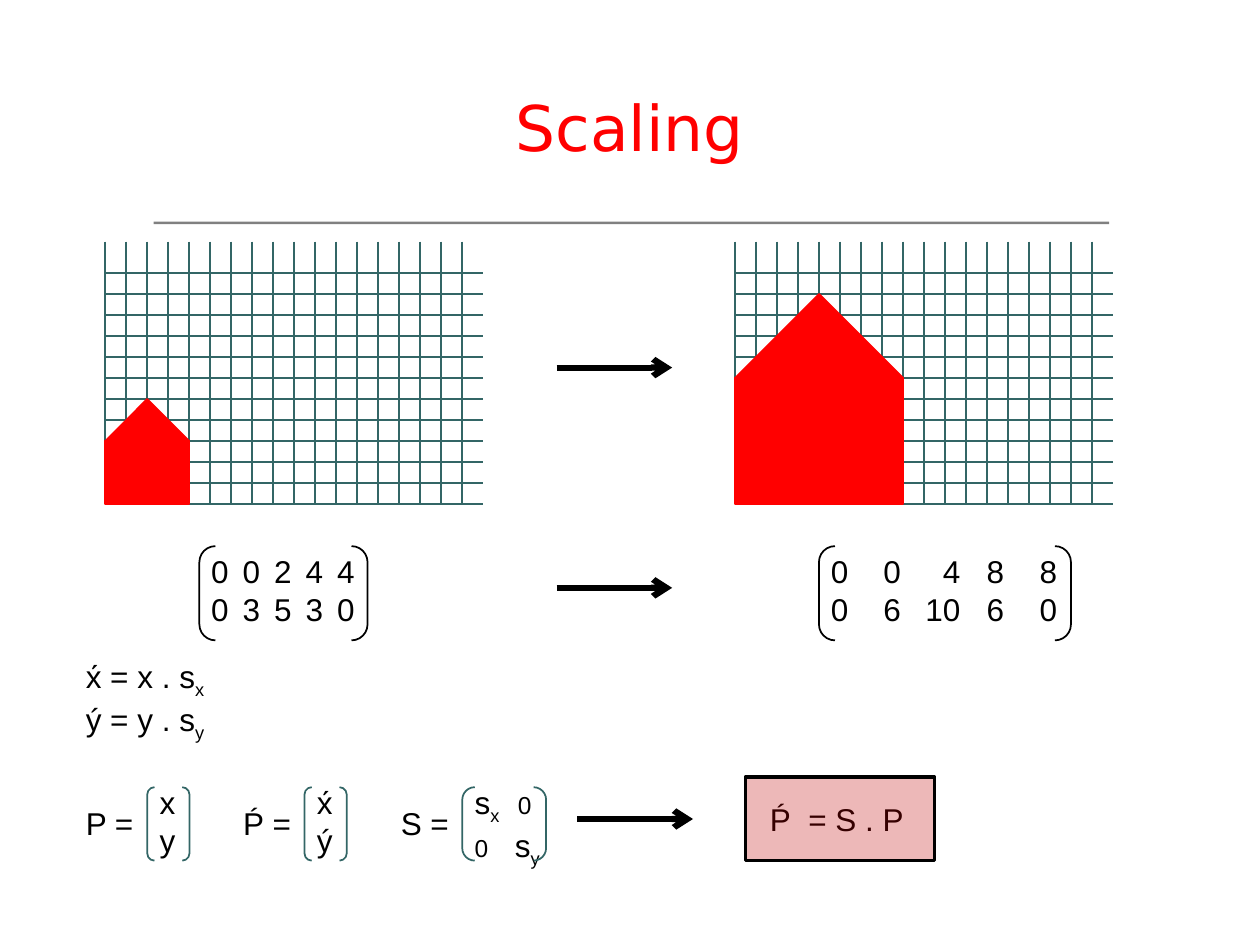
from lxml import etree
from pptx import Presentation
from pptx.dml.color import RGBColor
from pptx.enum import shapes as kinds, text as styles
from pptx.oxml.ns import qn
from pptx.util import Cm, Pt

RED = RGBColor(0xFF, 0x00, 0x00)
BLACK = RGBColor(0x00, 0x00, 0x00)
TEAL = RGBColor(0x33, 0x66, 0x66)
GRAY = RGBColor(0x80, 0x80, 0x80)
DARK_RED = RGBColor(0xC0, 0x00, 0x00)

CELL = 2.54 / 6  # grid spacing in centimetres
COLUMNS, ROWS = 18, 12
SHAPE = kinds.MSO_SHAPE
SUBSCRIPT = "subscript"


def add_line(shapes, start, end, color, weight, arrow=False):
    line = shapes.add_connector(
        kinds.MSO_CONNECTOR.STRAIGHT, *(Cm(value) for value in (*start, *end)))
    line.line.color.rgb = color
    line.line.width = Pt(weight)
    properties = line._element.spPr
    if arrow:
        etree.SubElement(properties.get_or_add_ln(), qn("a:tailEnd"), type="arrow")
    etree.SubElement(properties, qn("a:effectLst"))
    return line


def add_block(shapes, kind, box, fill=None, line=None, weight=1):
    block = shapes.add_shape(kind, *(Cm(value) for value in box))
    block.shadow.inherit = False
    if fill is None:
        block.fill.background()
    else:
        block.fill.solid()
        block.fill.fore_color.rgb = fill
    if line is None:
        block.line.fill.background()
    else:
        block.line.color.rgb = line
        block.line.width = Pt(weight)
    return block


def add_brackets(shapes, box, color):
    brackets = add_block(shapes, SHAPE.DOUBLE_BRACKET, box, line=color)
    brackets.adjustments[0] = 0.17


def add_text(shapes, box, lines, align=styles.PP_ALIGN.LEFT, tabs=()):
    """Write lines of (text, size or SUBSCRIPT) runs; tabs gives one stop per line."""
    text_box = shapes.add_textbox(*(Cm(value) for value in box))
    frame = text_box.text_frame
    frame.word_wrap = True
    for index, runs in enumerate(lines):
        paragraph = frame.paragraphs[0] if index == 0 else frame.add_paragraph()
        paragraph.alignment = align
        if tabs:
            stops = etree.SubElement(paragraph._p.get_or_add_pPr(), qn("a:tabLst"))
            etree.SubElement(stops, qn("a:tab"), pos=str(Cm(tabs[index])), algn="l")
        for content, size in runs:
            run = paragraph.add_run()
            run.text = content
            run.font.name = "Arial"
            run.font.color.rgb = BLACK
            run.font.size = Pt(18 if size == SUBSCRIPT else size)
            if size == SUBSCRIPT:
                run._r.get_or_add_rPr().set("baseline", "-25000")


def plain(*lines):
    return [[(line, 18)] for line in lines]


def add_heading(slide, left, top, width, height):
    title = slide.shapes.title
    title.left, title.top, title.width, title.height = map(Cm, (left, top, width, height))
    frame = title.text_frame
    frame.vertical_anchor = styles.MSO_ANCHOR.MIDDLE
    paragraph = frame.paragraphs[0]
    paragraph.alignment = styles.PP_ALIGN.CENTER
    run = paragraph.add_run()
    run.text = "Scaling"
    run.font.name = "DejaVu Sans"
    run.font.size = Pt(36)
    run.font.color.rgb = RED
    add_block(slide.shapes, SHAPE.RECTANGLE,
              (left + 3.1, top + height + 0.66, 19.26, 0.05), GRAY)


def add_house_on_grid(slide, left, top, scale):
    """Draw the grid with a house of 4 by 5 units standing in its lower left corner."""
    bottom = top + (ROWS + 0.5) * CELL
    grid = slide.shapes.add_group_shape().shapes
    for row in range(ROWS):
        y = bottom - row * CELL
        add_line(grid, (left, y), (left + COLUMNS * CELL, y), TEAL, 1)
    for column in range(COLUMNS):
        x = left + column * CELL
        add_line(grid, (x, top), (x, bottom), TEAL, 1)

    unit = scale * CELL
    house = slide.shapes.add_group_shape().shapes
    add_block(house, SHAPE.ISOSCELES_TRIANGLE,
              (left, bottom - 5 * unit, 4 * unit, 2 * unit), RED, RED)
    add_block(house, SHAPE.RECTANGLE,
              (left, bottom - 3 * unit, 4 * unit, 3 * unit), RED, RED)


def add_point_matrix(slide, left, top, width, points, edges):
    """Set each point as a column whose digits end at its edge."""
    matrix = slide.shapes.add_group_shape().shapes
    for (x, y), edge in zip(points, edges):
        add_text(matrix, (left + edge - 1, top, 1.25, 1.78), plain(str(x), str(y)),
                 styles.PP_ALIGN.RIGHT)
    add_brackets(matrix, (left, top, width, 1.9), BLACK)


def add_definition(slide, left, top, label, width, lines, tabs=()):
    definition = slide.shapes.add_group_shape().shapes
    add_text(definition, (left + 1.49, top, width + 0.4, 1.78), lines, tabs=tabs)
    add_brackets(definition, (left + 1.49, top + 0.21, width, 1.48), TEAL)
    add_text(definition, (left, top + 0.42, 1.9, 1.02), plain(label))


def add_result(slide, left, top, width, height):
    result = slide.shapes.add_group_shape().shapes
    add_text(result, (left + 0.24, top + 0.34, 3.45, 1.02), plain("Ṕ  = S . P"))
    frame = add_block(result, SHAPE.RECTANGLE, (left, top, width, height),
                      DARK_RED, BLACK, 2)
    color = frame._element.spPr.find(qn("a:solidFill"))[0]
    etree.SubElement(color, qn("a:alpha"), val="28000")


def add_arrow(slide, left, y):
    add_line(slide.shapes, (left, y), (left + 2.33, y), BLACK, 3.5, arrow=True)


def main():
    presentation = Presentation()
    presentation.slide_width, presentation.slide_height = Cm(25.4), Cm(19.05)
    slide = presentation.slides.add_slide(presentation.slide_layouts[5])
    add_heading(slide, 0, 1.27, 25.4, 2.54)

    house = [(0, 0), (0, 3), (2, 5), (4, 3), (4, 0)]
    scale = 2
    scaled_house = [(scale * x, scale * y) for x, y in house]
    add_house_on_grid(slide, 2.12, 4.87, 1)
    add_house_on_grid(slide, 14.82, 4.87, scale)
    add_point_matrix(slide, 4.02, 11.01, 3.39, house,
                     [0.59 + 0.635 * index for index in range(len(house))])
    add_point_matrix(slide, 16.51, 11.01, 5.08, scaled_house,
                     [0.59, 1.65, 2.85, 3.73, 4.8])
    for left, y in ((11.22, 7.41), (11.22, 11.85), (11.64, 16.51)):
        add_arrow(slide, left, y)

    add_text(slide.shapes, (1.48, 13.12, 4.88, 1.98),
             [[("x́ = x . s", 18), ("x", SUBSCRIPT)],
              [("ý = y . s", 18), ("y", SUBSCRIPT)]])
    add_definition(slide, 1.48, 15.66, "P =", 0.85, plain("x", "y"))
    add_definition(slide, 4.65, 15.66, "Ṕ =", 0.85, plain("x́", "ý"))
    add_definition(slide, 7.83, 15.66, "S =", 1.69,
                   [[("s", 18), ("x", SUBSCRIPT), ("\t0", 14)],
                    [("0", 14), ("\ts", 18), ("y", SUBSCRIPT)]],
                   tabs=(0.87, 0.81))
    add_result(slide, 15.03, 15.66, 3.81, 1.69)
    presentation.save("out.pptx")


if __name__ == "__main__":
    main()
